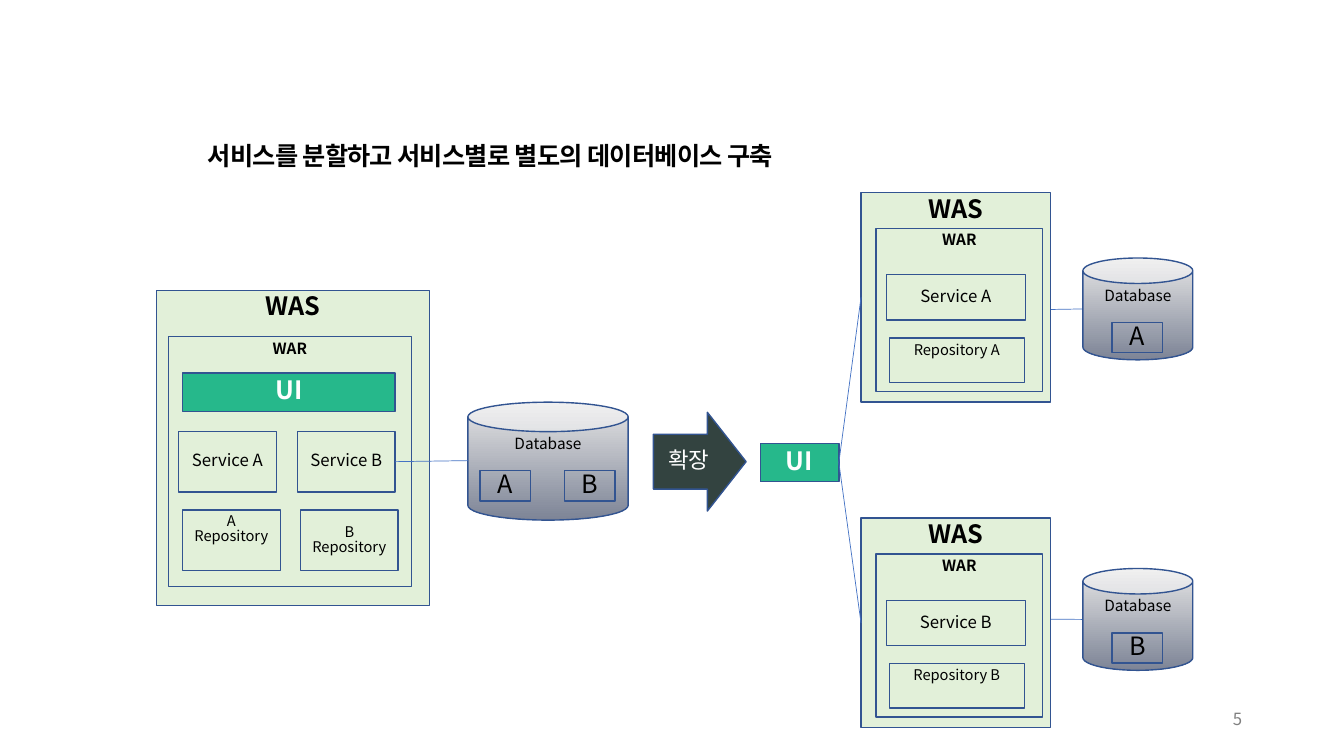
from dataclasses import dataclass

from lxml.etree import SubElement
from pptx import Presentation
from pptx.dml.color import RGBColor
from pptx.enum.shapes import MSO_CONNECTOR, MSO_SHAPE
from pptx.enum.text import MSO_ANCHOR, MSO_AUTO_SIZE, PP_ALIGN
from pptx.oxml.ns import qn
from pptx.util import Inches, Pt


@dataclass(frozen=True)
class Theme:
    """Colours, fonts and type sizes of the slide."""

    server: str = "E2F0D9"
    screen: str = "26B88B"
    arrow: str = "334340"
    outline: str = "325491"
    link: str = "4472C4"
    can_top: str = "E6E6E6"
    can_bottom: str = "7D8496"
    ink: str = "000000"
    light: str = "FFFFFF"
    muted: str = "808080"
    font: str = "Noto Sans CJK KR"
    title_font: str = "Arial"
    large: float = 18
    medium: float = 16
    body: float = 12
    label: float = 11
    small: float = 10.5
    line_spacing: float = 0.85


THEME = Theme()
CELL = Inches(0.1)
RIGHT = 3
LEFT = 1


def grid(*cells):
    """Turn columns and rows of the grid into lengths."""
    return [round(cell * CELL) for cell in cells]


def write(frame, text, size=THEME.body, color=THEME.ink, bold=False, font=THEME.font,
          align=PP_ALIGN.CENTER, anchor=MSO_ANCHOR.MIDDLE, indent=0, tracking=0):
    """Fill a text frame with one formatted paragraph."""
    frame.word_wrap = True
    frame.auto_size = MSO_AUTO_SIZE.NONE
    frame.vertical_anchor = anchor
    para = frame.paragraphs[0]
    para.alignment = align
    para.line_spacing = THEME.line_spacing
    if indent:
        properties = para._p.get_or_add_pPr()
        properties.set("marL", str(grid(indent)[0]))
        properties.set("indent", "0")
    span = para.add_run()
    span.text = text
    span.font.size = Pt(size)
    span.font.bold = bold
    span.font.color.rgb = RGBColor.from_string(color)
    span.font.name = font
    properties = span._r.get_or_add_rPr()
    SubElement(properties, qn("a:ea")).set("typeface", THEME.font)
    if tracking:
        properties.set("spc", str(round(tracking * 100)))


class Diagram:
    """Draws the elements of the current slide in one style."""

    def __init__(self, page, theme):
        """Keep the slide and its theme."""
        self.page = page
        self.theme = theme

    def title(self, text, *place):
        """Move and format the title placeholder."""
        box = self.page.shapes.title
        box.left, box.top, box.width, box.height = grid(*place)
        write(box.text_frame, text, size=self.theme.large, bold=True,
              font=self.theme.title_font, align=PP_ALIGN.LEFT,
              anchor=MSO_ANCHOR.TOP, indent=1.9, tracking=-0.5)

    def number(self, text, *place):
        """Add the page number."""
        box = self.page.shapes.add_textbox(*grid(*place))
        write(box.text_frame, text, color=self.theme.muted, align=PP_ALIGN.RIGHT)

    def box(self, text, *place, fill=None, kind=MSO_SHAPE.RECTANGLE, **style):
        """Add an outlined shape with text."""
        box = self.page.shapes.add_shape(kind, *grid(*place))
        box.shadow.inherit = False
        box.line.color.rgb = RGBColor.from_string(self.theme.outline)
        box.line.width = Pt(1)
        if fill:
            box.fill.solid()
            box.fill.fore_color.rgb = RGBColor.from_string(fill)
        else:
            box.fill.background()
        write(box.text_frame, text, **style)
        return box

    def was(self, *place):
        """Add an application server."""
        return self.box("WAS", *place, fill=self.theme.server, size=self.theme.large,
                        bold=True, anchor=MSO_ANCHOR.TOP)

    def war(self, *place):
        """Add a deployed archive."""
        self.box("WAR", *place, size=self.theme.label, bold=True, anchor=MSO_ANCHOR.TOP)

    def screen(self, *place):
        """Add a user interface box."""
        return self.box("UI", *place, fill=self.theme.screen, size=self.theme.large,
                        color=self.theme.light, bold=True)

    def repository(self, text, *place, anchor=MSO_ANCHOR.TOP):
        """Add a repository box."""
        self.box(text, *place, size=self.theme.small, anchor=anchor)

    def database(self, left, top, width, height, stores, store_top):
        """Add a database can with its named stores."""
        can = self.box("Database", left, top, width, height, kind=MSO_SHAPE.CAN,
                       size=self.theme.label, anchor=MSO_ANCHOR.TOP)
        can.fill.gradient()
        can.fill.gradient_angle = 270
        shades = (self.theme.can_top, self.theme.can_bottom)
        for stop, shade in zip(can.fill.gradient_stops, shades):
            stop.color.rgb = RGBColor.from_string(shade)
        for name, offset in stores.items():
            self.box(name, left + offset, top + store_top, 5, 3, size=self.theme.large)

    def arrow(self, text, *place):
        """Add the block arrow between the two designs."""
        arrow = self.box(text, *place, kind=MSO_SHAPE.RIGHT_ARROW, fill=self.theme.arrow,
                         size=self.theme.medium, color=self.theme.light)
        arrow.adjustments[0] = 0.555
        arrow.adjustments[1] = 0.418

    def link(self, *ends, source=None, target=None):
        """Add a thin line, joined to the boxes that are given."""
        line = self.page.shapes.add_connector(MSO_CONNECTOR.STRAIGHT, *grid(*ends))
        line.line.color.rgb = RGBColor.from_string(self.theme.link)
        line.line.width = Pt(0.5)
        SubElement(line._element.spPr, qn("a:effectLst"))
        if source:
            line.begin_connect(source, RIGHT)
        if target:
            line.end_connect(target, LEFT)


def draw_single(diagram):
    """Draw the single server with its shared database."""
    diagram.was(15.5, 28.8, 27.1, 31.3)
    diagram.war(16.7, 33.4, 24.1, 24.8)
    diagram.box("Service A", 17.7, 42.8, 9.7, 6)
    service = diagram.box("Service B", 29.5, 42.8, 9.7, 6)
    diagram.screen(18.1, 37, 21.1, 3.8)
    diagram.repository("A Repository", 18.1, 50.6, 9.7, 6)
    diagram.repository("B Repository", 29.8, 50.6, 9.7, 6, anchor=MSO_ANCHOR.MIDDLE)
    diagram.database(46.4, 39.9, 15.9, 11.7, {"A": 1.2, "B": 9.6}, 6.8)
    diagram.link(39.2, 45.8, 46.4, 45.7, source=service)


def draw_split(diagram):
    """Draw one server and one database for each service."""
    screen = diagram.screen(75.4, 44, 7.8, 3.8)
    for name, top, can_top, link_top in (("A", 19.1, 25.6, 30.8), ("B", 51.4, 56.4, 61.4)):
        diagram.link(98.2, link_top, 107.4, can_top + 5.05)
        server = diagram.was(85.4, top, 18.8, 20.8)
        diagram.war(86.9, top + 3.55, 16.5, 16.2)
        diagram.box(f"Service {name}", 87.9, top + 8.15, 13.8, 4.5)
        diagram.repository(f"Repository {name}", 88.2, top + 14.45, 13.4, 4.4)
        diagram.database(107.4, can_top, 10.9, 10.1, {name: 2.9}, 6.4)
        diagram.link(83.2, 45.9, 85.4, top + 10.4, source=screen, target=server)


def main():
    """Build and save the deck."""
    deck = Presentation()
    deck.slide_width, deck.slide_height = Inches(13.33), Inches(7.5)
    page = deck.slides.add_slide(deck.slide_layouts[5])
    diagram = Diagram(page, THEME)
    diagram.title("서비스를 분할하고 서비스별로 별도의 데이터베이스 구축", 17.7, 13.9, 92.4, 4)
    draw_single(diagram)
    diagram.arrow("확장", 64.8, 40.9, 9.2, 9.8)
    draw_split(diagram)
    diagram.number("5", 94.2, 69.5, 30, 4)
    deck.save("out.pptx")


if __name__ == "__main__":
    main()
